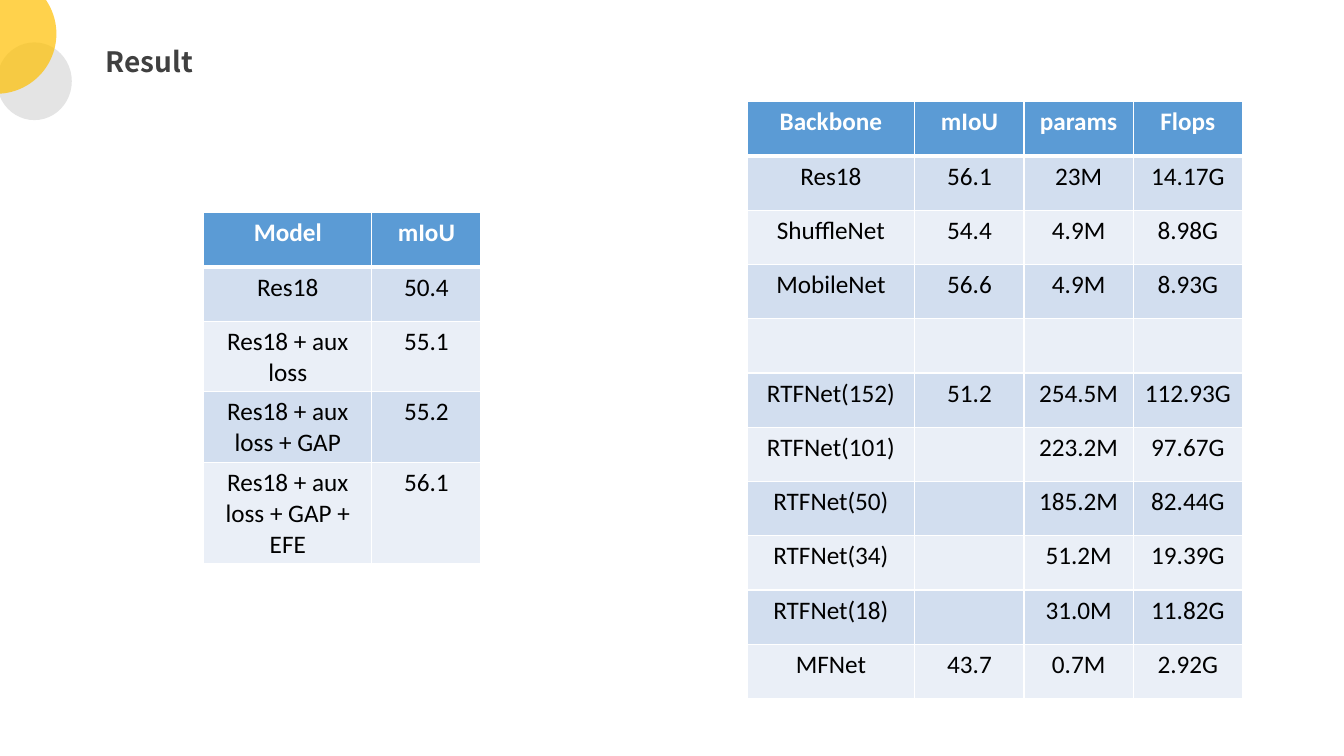
import pptx
import pptx.dml.color
import pptx.enum.shapes
import pptx.enum.text
import pptx.oxml
import pptx.oxml.ns
import pptx.util

Pt = pptx.util.Pt
COLORS = {
    "yellow": "FFC000", "grey": "D9D9D9", "title": "404040",
    "header": "5B9BD5", "odd": "D2DEEF", "even": "EAEFF7",
    "white": "FFFFFF", "black": "000000",
}
ROW_HEIGHT = 38.75
NAME_WIDTH, VALUE_WIDTH = 120, 78

ABLATION = [
    ("Model", "mIoU"),
    ("Res18", "50.4"),
    ("Res18 + aux loss", "55.1"),
    ("Res18 + aux loss + GAP", "55.2"),
    ("Res18 + aux loss + GAP + EFE", "56.1"),
]
BACKBONES = [
    ("Backbone", "mIoU", "params", "Flops"),
    ("Res18", "56.1", "23M", "14.17G"),
    ("ShuffleNet", "54.4", "4.9M", "8.98G"),
    ("MobileNet", "56.6", "4.9M", "8.93G"),
    ("", "", "", ""),
    ("RTFNet(152)", "51.2", "254.5M", "112.93G"),
    ("RTFNet(101)", "", "223.2M", "97.67G"),
    ("RTFNet(50)", "", "185.2M", "82.44G"),
    ("RTFNet(34)", "", "51.2M", "19.39G"),
    ("RTFNet(18)", "", "31.0M", "11.82G"),
    ("MFNet", "43.7", "0.7M", "2.92G"),
]


def rgb(name):
    """Return the named colour."""
    return pptx.dml.color.RGBColor.from_string(COLORS[name])


def style_font(paragraph, face, size, color, bold):
    """Set the font of a whole paragraph."""
    font = paragraph.font
    font.name, font.size, font.bold = face, Pt(size), bold
    font.color.rgb = rgb(color)


def add_circle(slide, left, top, width, height, color):
    """Draw one translucent corner circle."""
    circle = slide.shapes.add_shape(
        pptx.enum.shapes.MSO_SHAPE.OVAL, Pt(left), Pt(top), Pt(width), Pt(height))
    circle.shadow.inherit = False
    circle.line.fill.background()
    circle.fill.solid()
    circle.fill.fore_color.rgb = rgb(color)
    tint = circle.fill._xPr.find(".//" + pptx.oxml.ns.qn("a:srgbClr"))
    tint.append(pptx.oxml.parse_xml(
        f'<a:alpha {pptx.oxml.ns.nsdecls("a")} val="70000"/>'))


def add_heading(slide, left, top, width, height, text):
    """Place the corner circles and the slide title."""
    add_circle(slide, left - 70.6, top + 2.2, 53.5, 55.5, "grey")
    add_circle(slide, left - 113.8, top - 46.8, 85.7, 85.7, "yellow")
    title = slide.shapes.add_textbox(Pt(left), Pt(top), Pt(width), Pt(height))
    frame = title.text_frame
    frame.word_wrap = False
    frame.auto_size = pptx.enum.text.MSO_AUTO_SIZE.SHAPE_TO_FIT_TEXT
    frame.text = text
    style_font(frame.paragraphs[0], "Noto Sans CJK SC", 20, "title", True)


def add_borders(cell, row):
    """Give a cell white borders, thick beneath the header row."""
    widths = {"L": 1, "R": 1, "T": 3 if row == 1 else 1, "B": 3 if row == 0 else 1}
    properties = cell._tc.get_or_add_tcPr()
    for side, width in widths.items():
        properties.append(pptx.oxml.parse_xml(
            f'<a:ln{side} {pptx.oxml.ns.nsdecls("a")} w="{Pt(width)}"><a:solidFill>'
            f'<a:srgbClr val="{COLORS["white"]}"/></a:solidFill></a:ln{side}>'))


def add_results(slide, left, top, results):
    """Place a banded results table with a wide first column."""
    widths = [NAME_WIDTH] + [VALUE_WIDTH] * (len(results[0]) - 1)
    table = slide.shapes.add_table(
        len(results), len(widths), Pt(left), Pt(top),
        Pt(sum(widths)), Pt(ROW_HEIGHT * len(results))).table
    for column, width in zip(table.columns, widths):
        column.width = Pt(width)
    for row, values in enumerate(results):
        table.rows[row].height = Pt(ROW_HEIGHT)
        band = "header" if row == 0 else "odd" if row % 2 else "even"
        for column, value in enumerate(values):
            cell = table.cell(row, column)
            add_borders(cell, row)
            cell.fill.solid()
            cell.fill.fore_color.rgb = rgb(band)
            cell.text = value
            paragraph = cell.text_frame.paragraphs[0]
            paragraph.alignment = pptx.enum.text.PP_ALIGN.CENTER
            style_font(paragraph, "Calibri", 18,
                       "white" if row == 0 else "black", row == 0)


def main():
    """Build and save the result slide."""
    deck = pptx.Presentation()
    deck.slide_width, deck.slide_height = Pt(960), Pt(540)
    slide = deck.slides.add_slide(deck.slide_layouts[6])
    add_heading(slide, 68.4, 28.1, 77, 31.5, "Result")
    add_results(slide, 533.5, 72.7, BACKBONES)
    add_results(slide, 145.6, 152, ABLATION)
    deck.save("out.pptx")


if __name__ == "__main__":
    main()
